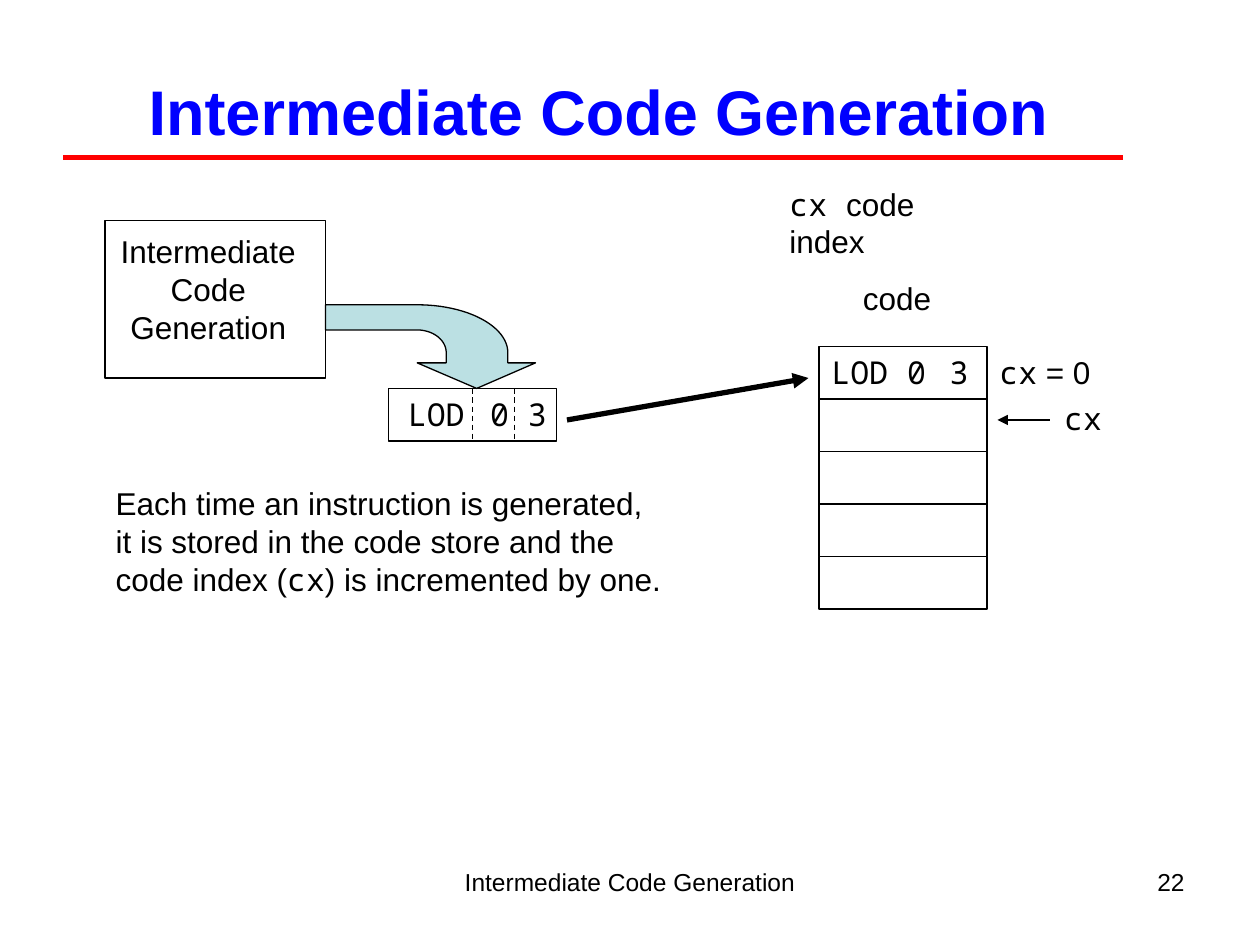
"""Builds a slide on storing generated instructions in the code store."""
from dataclasses import dataclass
from math import cos, pi, sin
from lxml.etree import SubElement as Sub
from pptx import Presentation
from pptx.dml.color import RGBColor
from pptx.enum.dml import MSO_LINE as Dash
from pptx.enum.shapes import MSO_CONNECTOR as Conn, MSO_SHAPE as Form
from pptx.enum.text import MSO_ANCHOR as Anchor, PP_ALIGN as Align
from pptx.oxml.ns import qn
from pptx.util import Pt

BLACK = RGBColor(0, 0, 0)
BLUE = RGBColor(0, 0, 255)
RED = RGBColor(255, 0, 0)
TEAL = RGBColor(0xBB, 0xE0, 0xE3)
SANS, MONO = "Arial", "Noto Sans Mono"
CELL_W, CELL_H = 96, 30


@dataclass(frozen=True)
class Label:
    box: tuple[float, float, float, float]
    lines: list[list[tuple[str, str]]]
    size: int = 18
    color: RGBColor = BLACK
    bold: bool = False
    align: Align = Align.LEFT
    anchor: Anchor = Anchor.TOP
    tab: float = 0


@dataclass(frozen=True)
class Line:
    start: tuple[float, float]
    end: tuple[float, float]
    color: RGBColor = BLACK
    width: float = 0.75
    dash: bool = False
    arrow: bool = False


def put(shapes, label: Label) -> None:
    frame = shapes.add_textbox(*map(Pt, label.box)).text_frame
    frame.word_wrap = True
    frame.vertical_anchor = label.anchor
    for i, parts in enumerate(label.lines):
        para = frame.add_paragraph() if i else frame.paragraphs[0]
        para.alignment = label.align
        if label.tab:
            stops = Sub(para._p.get_or_add_pPr(), qn("a:tabLst"))
            Sub(stops, qn("a:tab"), pos=str(Pt(label.tab)), algn="l")
        for text, face in parts:
            run = para.add_run()
            run.text = text
            form = {"name": face, "size": Pt(label.size), "bold": label.bold}
            for key, value in form.items():
                setattr(run.font, key, value)
            run.font.color.rgb = label.color


def draw(shapes, line: Line) -> None:
    conn = shapes.add_connector(Conn.STRAIGHT, *map(Pt, line.start + line.end))
    conn.line.color.rgb = line.color
    conn.line.width = Pt(line.width)
    if line.dash:
        conn.line.dash_style = Dash.DASH
    if line.arrow:
        Sub(conn.line._get_or_add_ln(), qn("a:tailEnd"), type="triangle")
    Sub(conn._element.spPr, qn("a:effectLst"))


def style(shape, fill: RGBColor | None = None) -> None:
    shape.shadow.inherit = False
    shape.line.color.rgb = BLACK
    shape.line.width = Pt(0.75)
    if fill is None:
        shape.fill.background()
    else:
        shape.fill.solid()
        shape.fill.fore_color.rgb = fill


def arc(mid: tuple[float, float], wide: float, high: float) -> list[tuple[float, float]]:
    turns = [pi / 2 * i / 24 for i in range(25)]
    return [(mid[0] + wide * cos(t), mid[1] - high * sin(t)) for t in turns]


def bend(shapes) -> None:
    mid = (238.4, 201.6)
    outer = arc(mid, 51.8, 27.4)
    inner = arc(mid, 16.6, 13)[::-1]
    points = [(272.4, 222), (306, 207.4), (290.2, 207.4), *outer,
              (186, 174.2), (186, 188.6), *inner, (255, 207.4), (238.4, 207.4)]
    spots = [(Pt(x), Pt(y)) for x, y in points]
    path = shapes.build_freeform(*spots[0])
    path.add_line_segments(spots[1:], close=True)
    style(path.convert_to_shape(), TEAL)


def main() -> None:
    deck = Presentation()
    deck.slide_width, deck.slide_height = Pt(720), Pt(540)
    shapes = deck.slides.add_slide(deck.slide_layouts[6]).shapes
    name = "Intermediate Code Generation"

    boxes = [(60, 126, 126, 90), (222, 222, CELL_W, CELL_H)]
    boxes += [(468, 198 + CELL_H * i, CELL_W, CELL_H) for i in range(5)]
    for box in boxes:
        style(shapes.add_shape(Form.RECTANGLE, *map(Pt, box)))
    bend(shapes)

    lines = [
        Line((36, 90), (642, 90), RED, 3),
        Line((600, 240), (570, 240), arrow=True),
        Line((324, 240), (462, 216), width=3, arrow=True),
    ]
    lines += [Line((x, 222), (x, 252), dash=True) for x in (270, 294)]
    for line in lines:
        draw(shapes, line)

    labels = [
        Label((18, 18, 648, 90), [[(name, SANS)]], 36, BLUE, True,
              Align.CENTER, Anchor.MIDDLE),
        Label((246, 492, 228, 37), [[(name, SANS)]], 14, align=Align.CENTER),
        Label((516, 492, 168, 37), [[("22", SANS)]], 14, align=Align.RIGHT),
        Label((59, 129, 120, 72), [[(word, SANS)] for word in name.split()],
              align=Align.CENTER),
        Label((226, 222, 96, 29), [[("LOD\t0 3", MONO)]], tab=47),
        Label((468, 198, 96, 29), [[("LOD 0\t3", MONO)]], tab=67.5),
        Label((486, 156, 54, 29), [[("code", SANS)]]),
        Label((564, 198, 102, 29), [[("cx", MONO), (" = 0", SANS)]]),
        Label((444, 102, 120, 51), [[("cx ", MONO), ("code index", SANS)]]),
        Label((601, 224.5, 45, 29), [[("cx", MONO)]]),
        Label((59, 273, 335, 72), [
            [("Each time an instruction is generated,", SANS)],
            [("it is stored in the code store and the", SANS)],
            [("code index (", SANS), ("cx", MONO),
             (") is incremented by one.", SANS)]]),
    ]
    for label in labels:
        put(shapes, label)
    deck.save("out.pptx")


main()
